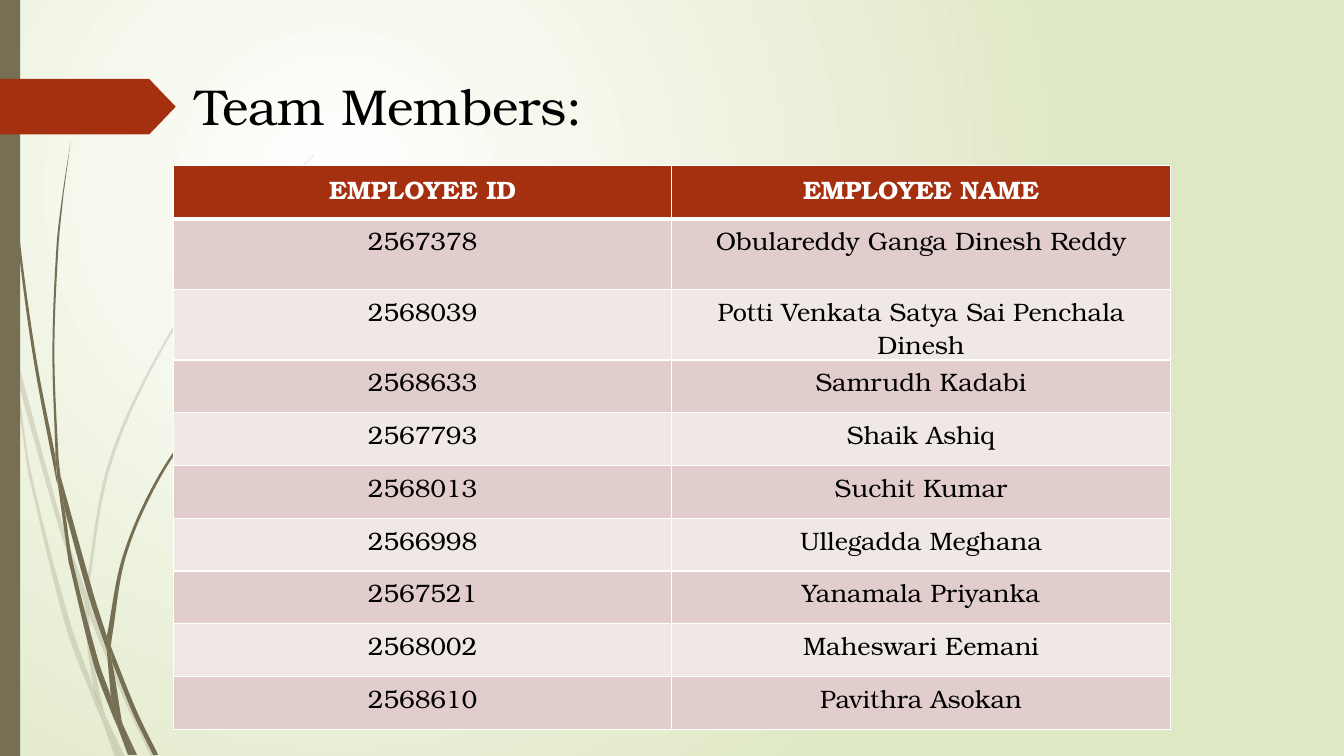
import math

import pptx
import pptx.dml.color
import pptx.enum.shapes
import pptx.enum.text
import pptx.oxml
import pptx.oxml.ns
import pptx.util
from lxml import etree
from pptx.util import Cm

TITLE = "Team Members:"
HEADINGS = ("EMPLOYEE ID", "EMPLOYEE NAME")
MEMBERS = [
    ("2567378", "Obulareddy Ganga Dinesh Reddy"),
    ("2568039", "Potti Venkata Satya Sai Penchala Dinesh"),
    ("2568633", "Samrudh Kadabi"),
    ("2567793", "Shaik Ashiq"),
    ("2568013", "Suchit Kumar"),
    ("2566998", "Ullegadda Meghana"),
    ("2567521", "Yanamala Priyanka"),
    ("2568002", "Maheswari Eemani"),
    ("2568610", "Pavithra Asokan"),
]

# Each piece of grass has two smooth edges, one going out and one coming back.
GRASS_UNIT = 2.54  # centimetres per unit of the points below
PALE_GRASS = [
    ([(0, 2.82), (.09, 3.22), (.11, 3.5)], [(.1, 3.44), (0, 2.99)]),
    ([(.14, 3.45), (.62, 5.2), (.85, 5.86)], [(.84, 5.99), (.58, 5.22), (.17, 3.76)]),
    ([(.88, 5.96), (.92, 6.07), (1.27, 6.92), (1.55, 7.51)],
     [(1.5, 7.51), (1.23, 6.94), (.88, 6.1)]),
    ([(1.05, 7.11), (1.24, 7.51)], [(1.19, 7.51)]),
    ([(.11, 3.5), (.17, 3.76), (.31, 4.69), (.7, 6.19), (.93, 6.83), (.99, 7.07)],
     [(1.01, 7.14), (.92, 6.93), (.65, 6.21), (.28, 4.7)]),
    ([(.84, 5.99), (.88, 6.1), (.91, 6.46), (1.03, 7.06), (1.05, 7.11)],
     [(.96, 6.92), (.93, 6.83), (.87, 6.46)]),
    ([(3.12, 1.53), (2.89, 1.75), (2.68, 1.97), (2.28, 2.44), (1.58, 3.48),
      (1.07, 4.61), (.85, 5.84)],
     [(.88, 5.96), (.88, 5.84), (1.1, 4.62), (1.6, 3.49), (2.29, 2.45),
      (2.68, 1.98), (2.9, 1.75), (3.12, 1.54)]),
    ([(1.01, 7.14), (1.14, 7.51)], [(1.19, 7.51)]),
    ([(.85, 5.86), (.88, 5.96), (.88, 6.1)], [(.84, 5.99)]),
    ([(.93, 6.83), (1.05, 7.11), (1.19, 7.51)], [(1.01, 7.14), (.99, 7.07)]),
]
DARK_GRASS = [
    ([(.04, 0), (.05, .48), (.08, 1.09), (.19, 2.32), (.36, 3.55), (.55, 4.53)],
     [(.57, 4.81), (.56, 4.77), (.33, 3.55), (.17, 2.33), (.07, 1.1), (.04, .48), (.03, 0)]),
    ([(.6, 4.72), (.93, 5.9), (1.06, 6.31)], [(1.06, 6.45), (.88, 5.92), (.64, 5.05)]),
    ([(1.1, 6.41), (1.13, 6.49), (1.36, 7.06), (1.57, 7.49)],
     [(1.52, 7.49), (1.32, 7.08), (1.11, 6.56)]),
    ([(.57, 4.77), (.64, 5.05), (.72, 5.56), (.98, 6.57), (1.1, 6.91), (1.16, 7.17)],
     [(1.17, 7.22), (1.11, 7.08), (.93, 6.59), (.68, 5.57)]),
    ([(.7, 1.41), (.62, 1.93), (.56, 2.45), (.52, 3.49), (.55, 4.49)],
     [(.6, 4.72), (.58, 4.53), (.54, 3.49), (.58, 2.45), (.63, 1.93)]),
    ([(1.22, 7.19), (1.36, 7.49)], [(1.33, 7.49)]),
    ([(.55, 4.49), (.6, 4.72), (.64, 5.05)], [(.57, 4.77), (.55, 4.53)]),
    ([(2.6, 3.44), (2.45, 3.58), (2.31, 3.73), (2.04, 4.05), (1.56, 4.74),
      (1.22, 5.51), (1.06, 6.31)],
     [(1.1, 6.41), (1.11, 6.33), (1.25, 5.52), (1.58, 4.76), (2.05, 4.06),
      (2.31, 3.74), (2.45, 3.59), (2.61, 3.44)]),
    ([(1.17, 7.22), (1.27, 7.49)], [(1.31, 7.49)]),
    ([(1.06, 6.45), (1.11, 6.56), (1.21, 7.16), (1.22, 7.19)], [(1.16, 7.06), (1.1, 6.91)]),
    ([(1.06, 6.31), (1.1, 6.41), (1.11, 6.56)], [(1.06, 6.45)]),
    ([(1.1, 6.91), (1.22, 7.19), (1.33, 7.49)], [(1.3, 7.49), (1.17, 7.22)]),
]

THEME = {
    "font": "TeX Gyre Bonum",
    "title_size": 36, "table_size": 18,
    "text": "000000", "light": "FFFFFF", "accent": "A53010",
    "grass": "766F54", "bands": ("E1CDCC", "F0E8E7"),
    "glow": ("FFFFFF", "DFE8C4"),
}
HEADER_HEIGHT, TALL_HEIGHT, ROW_HEIGHT = 1.34, 1.78, 1.33
TALL_ROWS = (1, 2)
COLUMN_WIDTH = 12.56
qn = pptx.oxml.ns.qn


def rgb(name):
    return pptx.dml.color.RGBColor.from_string(name)


def paint(shape, color, opacity=100):
    shape.shadow.inherit = False
    shape.fill.solid()
    shape.fill.fore_color.rgb = rgb(color)
    shape.line.fill.background()
    if opacity < 100:
        solid = next(shape.element.iter(qn("a:srgbClr")))
        etree.SubElement(solid, qn("a:alpha")).set("val", str(opacity * 1000))


def add_text(paragraph, text, size, color, bold=False):
    run = paragraph.add_run()
    run.text = text
    run.font.name = THEME["font"]
    run.font.size = pptx.util.Pt(size)
    run.font.bold = bold
    run.font.color.rgb = rgb(color)


def curve_handles(edge):
    """Two Bezier handles for each step along the edge."""
    padded = [edge[0], *edge, edge[-1]]
    for a, b, c, d in zip(padded, padded[1:], padded[2:], padded[3:]):
        reach = math.dist(b, c) / 3
        start, end = reach / math.dist(a, c), reach / math.dist(b, d)
        yield ([q + (r - p) * start for p, q, r in zip(a, b, c)],
               [r - (s - q) * end for q, r, s in zip(b, c, d)])


def add_grass(slide, edges, opacity):
    edges = [[(Cm(x * GRASS_UNIT), Cm(y * GRASS_UNIT)) for x, y in edge] for edge in edges]
    outline = edges[0] + edges[1]
    builder = slide.shapes.build_freeform(*outline[0])
    builder.add_line_segments(outline[1:], close=True)
    shape = builder.convert_to_shape()
    paint(shape, THEME["grass"], opacity)
    lines = list(shape.element.iter(qn("a:lnTo")))
    steps = [*curve_handles(edges[0]), None, *curve_handles(edges[1])]
    for line, handles in zip(lines, steps):
        if handles:
            line.tag = qn("a:cubicBezTo")
            for index, (x, y) in enumerate(handles):
                point = etree.Element(qn("a:pt"))
                point.set("x", str(round(x - shape.left)))
                point.set("y", str(round(y - shape.top)))
                line.insert(index, point)


def set_background(slide):
    """White glow left of the centre, fading to green."""
    fill = slide.background.fill
    fill.gradient()
    for stop, color, position in zip(fill.gradient_stops, THEME["glow"], (0, 1)):
        stop.color.rgb = rgb(color)
        stop.position = position
    gradient = next(slide.element.iter(qn("a:gradFill")))
    gradient.replace(gradient.find(qn("a:lin")), pptx.oxml.parse_xml(
        f'<a:path {pptx.oxml.ns.nsdecls("a")} path="circle">'
        '<a:fillToRect l="50000" t="50000" r="100000" b="100000"/></a:path>'))


def set_header_borders(cell):
    properties = cell._tc.get_or_add_tcPr()
    for index, (side, width) in enumerate((("L", 1), ("R", 1), ("T", 1), ("B", 3))):
        properties.insert(index, pptx.oxml.parse_xml(
            f'<a:ln{side} {pptx.oxml.ns.nsdecls("a")} w="{pptx.util.Pt(width)}">'
            f'<a:solidFill><a:srgbClr val="{THEME["light"]}"/></a:solidFill></a:ln{side}>'))


def add_member_table(slide):
    rows = [HEADINGS, *MEMBERS]
    heights = [HEADER_HEIGHT] + [TALL_HEIGHT if row in TALL_ROWS else ROW_HEIGHT
                                 for row in range(1, len(rows))]
    table = slide.shapes.add_table(
        len(rows), len(HEADINGS), Cm(4.37), Cm(4.17),
        Cm(COLUMN_WIDTH * len(HEADINGS)), Cm(sum(heights))).table
    for column in table.columns:
        column.width = Cm(COLUMN_WIDTH)
    for row, values in enumerate(rows):
        header = row == 0
        table.rows[row].height = Cm(heights[row])
        for column, value in enumerate(values):
            cell = table.cell(row, column)
            cell.margin_bottom = 0
            cell.fill.solid()
            cell.fill.fore_color.rgb = rgb(
                THEME["accent"] if header else THEME["bands"][(row - 1) % 2])
            if header:
                set_header_borders(cell)
            paragraph = cell.text_frame.paragraphs[0]
            paragraph.alignment = pptx.enum.text.PP_ALIGN.CENTER
            add_text(paragraph, value, THEME["table_size"],
                     THEME["light" if header else "text"], header)


presentation = pptx.Presentation()
presentation.slide_width, presentation.slide_height = Cm(33.87), Cm(19.05)
slide = presentation.slides.add_slide(presentation.slide_layouts[6])
set_background(slide)
for pieces, opacity in ((PALE_GRASS, 20), (DARK_GRASS, 100)):
    for edges in pieces:
        add_grass(slide, edges, opacity)

kinds = pptx.enum.shapes.MSO_SHAPE
side_bar = slide.shapes.add_shape(kinds.RECTANGLE, 0, 0, Cm(.51), Cm(19.05))
paint(side_bar, THEME["grass"])
title_arrow = slide.shapes.add_shape(kinds.PENTAGON, 0, Cm(1.99), Cm(4.43), Cm(1.4))
title_arrow.adjustments[0] = .48
paint(title_arrow, THEME["accent"])

title = slide.shapes.add_textbox(Cm(4.67), Cm(1.76), Cm(16.23), Cm(1.8)).text_frame
title.word_wrap = True
title.vertical_anchor = pptx.enum.text.MSO_ANCHOR.MIDDLE
add_text(title.paragraphs[0], TITLE, THEME["title_size"], THEME["text"])
add_member_table(slide)
presentation.save("out.pptx")
